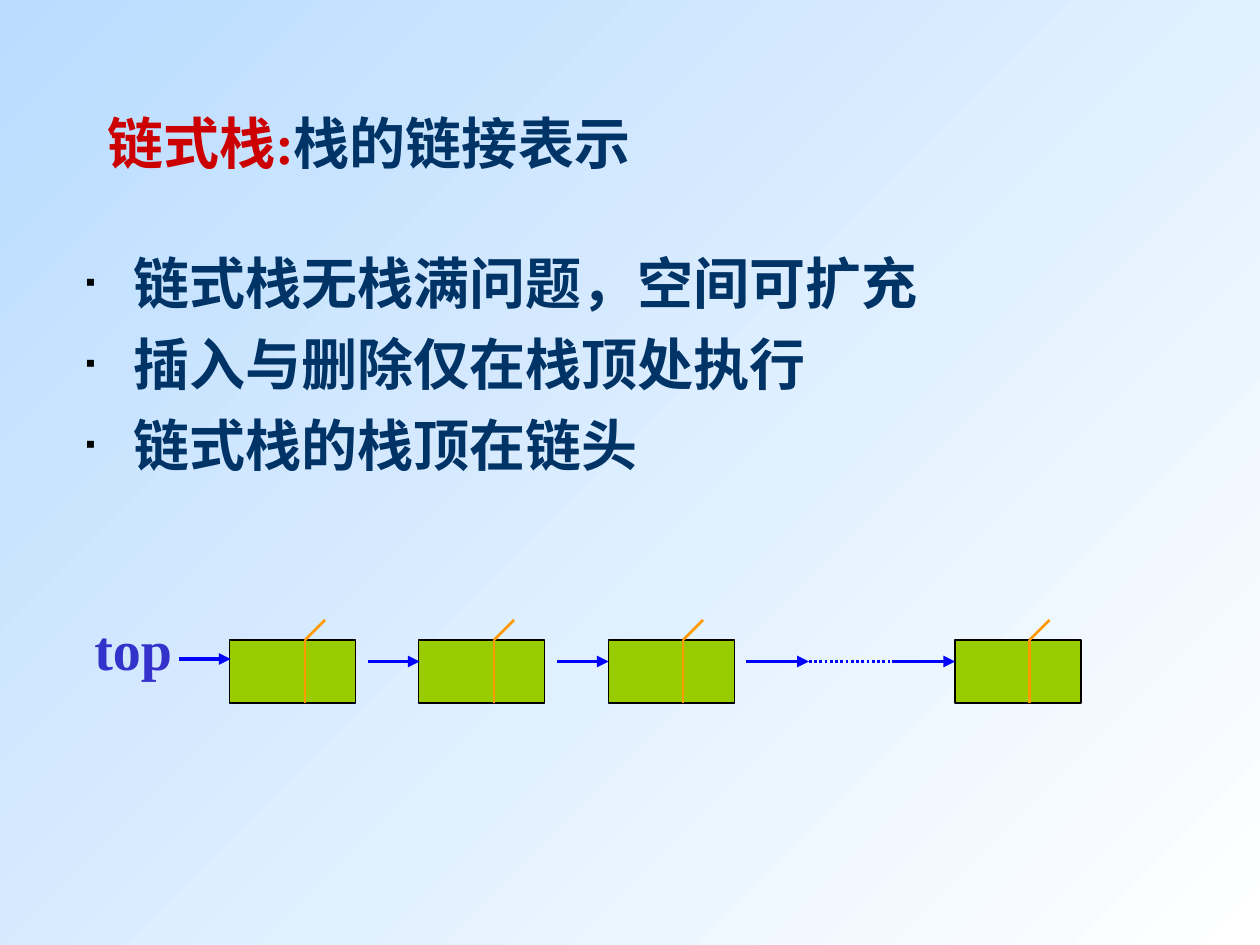
from dataclasses import dataclass

from lxml import etree
from pptx import Presentation
from pptx.dml.color import RGBColor
from pptx.enum import dml, shapes, text
from pptx.oxml.ns import qn
from pptx.util import Inches, Pt


@dataclass(frozen=True)
class Theme:
    font: str = "Times New Roman"
    size: float = 32
    red: str = "CC0000"
    navy: str = "003366"
    label: str = "3333CC"
    cell: str = "99CC00"
    mark: str = "FF9900"
    link: str = "0000FF"
    black: str = "000000"
    light: str = "FFFFFF"
    sky: str = "B9DCFF"


@dataclass(frozen=True)
class Node:
    left: float  # left edge of the box
    split: float  # line between data and link fields


@dataclass(frozen=True)
class Arrow:
    start: float
    end: float
    y: float = 5.25


THEME = Theme()
TOP, WIDE, HIGH = 5.08, 1, 0.5
NODES = [Node(1.82, 2.42), Node(3.32, 3.92), Node(4.83, 5.42), Node(7.58, 8.17)]
ARROWS = [Arrow(1.42, 1.83, 5.23), Arrow(2.92, 3.33), Arrow(4.42, 4.83),
          Arrow(5.92, 6.42), Arrow(7.08, 7.58)]
POINTS = ["链式栈无栈满问题，空间可扩充", "插入与删除仅在栈顶处执行", "链式栈的栈顶在链头"]


def color(code: str) -> RGBColor:
    return RGBColor.from_string(code)


def place(shape, left: float, top: float, width: float, height: float) -> None:
    shape.left, shape.top = Inches(left), Inches(top)
    shape.width, shape.height = Inches(width), Inches(height)


def add_run(para, words: str, code: str) -> None:
    run = para.add_run()
    run.text = words
    font = run.font
    font.name, font.size, font.bold = THEME.font, Pt(THEME.size), True
    font.color.rgb = color(code)


def add_bullet(para) -> None:
    props = para._p.get_or_add_pPr()
    props.set("marL", str(Inches(0.38)))
    props.set("indent", str(-Inches(0.38)))
    tint = etree.SubElement(props, qn("a:buClr"))
    etree.SubElement(tint, qn("a:srgbClr"), val=THEME.black)
    etree.SubElement(props, qn("a:buSzPct"), val="50000")
    etree.SubElement(props, qn("a:buChar"), char="▪")


def add_line(slide, x1: float, y1: float, x2: float, y2: float,
             code: str, width: float = 1.5):
    line = slide.shapes.add_connector(
        shapes.MSO_CONNECTOR.STRAIGHT,
        Inches(x1), Inches(y1), Inches(x2), Inches(y2))
    line.line.color.rgb = color(code)
    line.line.width = Pt(width)
    etree.SubElement(line._element.spPr, qn("a:effectLst"))
    return line


def add_arrow(slide, arrow: Arrow) -> None:
    line = add_line(slide, arrow.start, arrow.y, arrow.end, arrow.y, THEME.link, 2.25)
    etree.SubElement(line.line._get_or_add_ln(), qn("a:tailEnd"), type="triangle")


def add_node(slide, node: Node) -> None:
    box = slide.shapes.add_shape(
        shapes.MSO_SHAPE.RECTANGLE,
        Inches(node.left), Inches(TOP), Inches(WIDE), Inches(HIGH))
    box.shadow.inherit = False
    box.fill.solid()
    box.fill.fore_color.rgb = color(THEME.cell)
    box.line.color.rgb = color(THEME.black)
    box.line.width = Pt(0.75)
    add_line(slide, node.split, TOP, node.split, TOP + HIGH, THEME.mark)
    add_line(slide, node.split, TOP, node.split + 0.16, TOP - 0.16, THEME.mark)


def main() -> None:
    deck = Presentation()
    deck.slide_width, deck.slide_height = Inches(10), Inches(7.5)
    slide = deck.slides.add_slide(deck.slide_layouts[1])

    # Background
    back = slide.background.fill
    back.gradient()
    back.gradient_angle = 135
    for stop, code, pos in zip(back.gradient_stops, (THEME.light, THEME.sky), (0, 1)):
        stop.color.rgb = color(code)
        stop.position = pos

    # Title
    title = slide.shapes.title
    place(title, 0.75, 0.67, 8.5, 0.92)
    frame = title.text_frame
    frame.auto_size = text.MSO_AUTO_SIZE.NONE
    frame.vertical_anchor = text.MSO_ANCHOR.MIDDLE
    para = frame.paragraphs[0]
    para.alignment = text.PP_ALIGN.LEFT
    add_run(para, "链式栈:", THEME.red)
    add_run(para, "栈的链接表示", THEME.navy)

    # Bullet list
    body = slide.placeholders[1]
    place(body, 0.58, 1.92, 8.5, 2.33)
    frame = body.text_frame
    frame.auto_size = text.MSO_AUTO_SIZE.NONE
    for i, point in enumerate(POINTS):
        para = frame.add_paragraph() if i else frame.paragraphs[0]
        para.space_before = Pt(8 if i else 0)
        add_bullet(para)
        add_run(para, point, THEME.navy)

    # Stack pointer label
    label = slide.shapes.add_textbox(Inches(0.65), Inches(4.83), Inches(0.82), Inches(0.64))
    label.text_frame.word_wrap = False
    label.text_frame.auto_size = text.MSO_AUTO_SIZE.SHAPE_TO_FIT_TEXT
    add_run(label.text_frame.paragraphs[0], "top", THEME.label)

    # Linked chain
    for node in NODES:
        add_node(slide, node)
    for arrow in ARROWS:
        add_arrow(slide, arrow)
    gap = add_line(slide, 6.42, 5.25, 7.08, 5.25, THEME.link)
    gap.line.dash_style = dml.MSO_LINE.ROUND_DOT

    deck.save("out.pptx")


if __name__ == "__main__":
    main()
